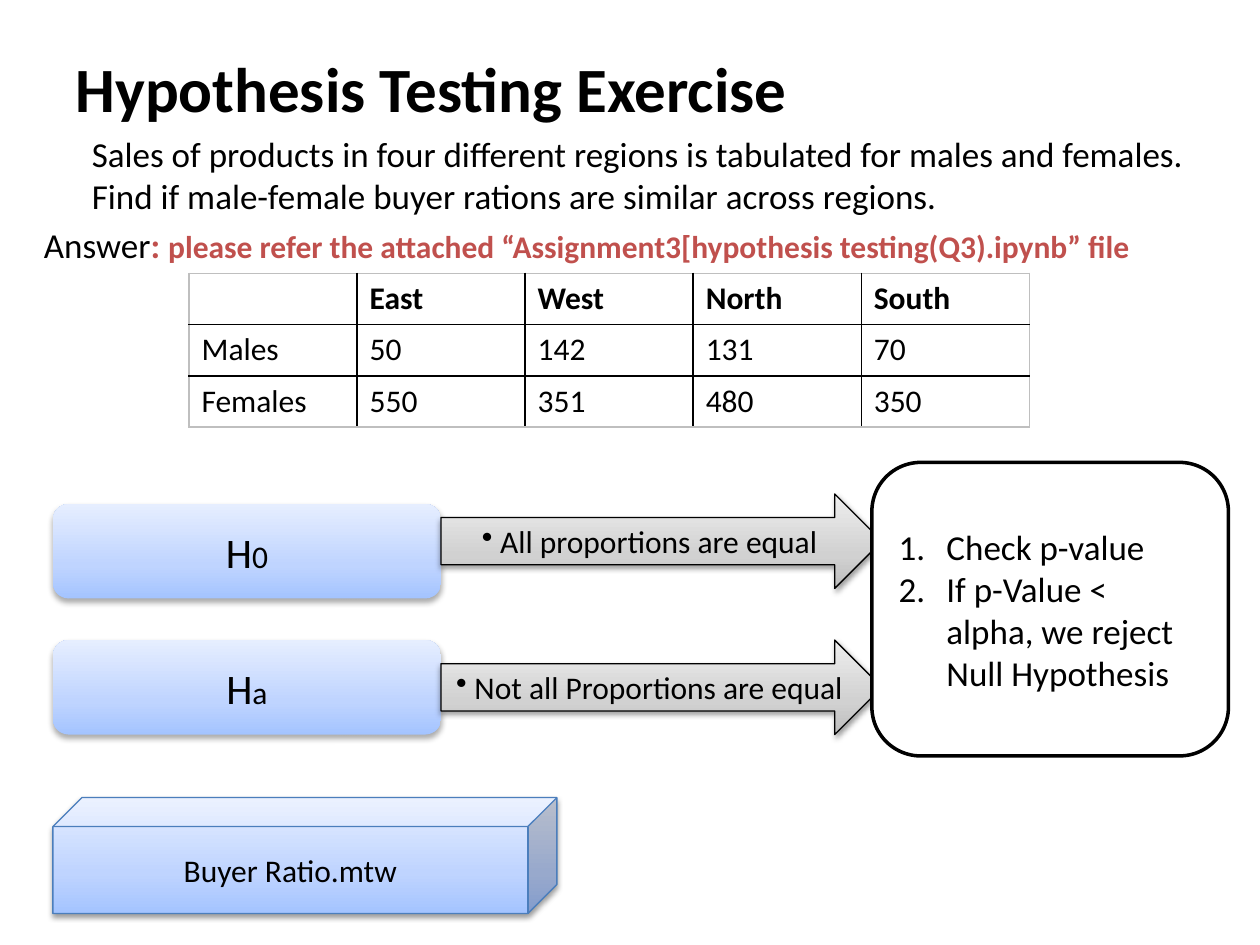
from copy import deepcopy
from dataclasses import dataclass
from lxml import etree
from pptx import Presentation
from pptx.dml.color import RGBColor
from pptx.enum.shapes import MSO_SHAPE
from pptx.enum.text import MSO_ANCHOR, PP_ALIGN
from pptx.oxml.ns import qn
from pptx.util import Inches, Pt


@dataclass(frozen=True)
class Theme:
    font: str = "Calibri"
    ink: str = "000000"
    paper: str = "FFFFFF"
    accent: str = "C0504D"
    cube_line: str = "4B7EBC"
    table_edge: str = "BFBFBF"
    blue: tuple = ("A4C4FF", "BFD4FF", "E6EEFF")
    gray: tuple = ("BDBDBD", "D1D1D1", "EEEEEE")
    soft_shadow: tuple = (32, 3.5, 2.2)
    firm_shadow: tuple = (38, 3.1, 1.6)
    title: int = 36
    heading: int = 24
    body: int = 20
    small: int = 18


class SlideBuilder:
    def __init__(self, slide, theme):
        self.slide = slide
        self.theme = theme

    def run(self, paragraph, text, size, bold=False, color=None):
        run = paragraph.add_run()
        run.text = text
        run.font.name = self.theme.font
        run.font.size = Pt(size)
        run.font.bold = bold
        run.font.color.rgb = RGBColor.from_string(color or self.theme.ink)

    def bullet(self, paragraph, tag, value, hanging=0):
        properties = paragraph._p.get_or_add_pPr()
        properties.set("marL", str(Inches(hanging)))
        properties.set("indent", str(Inches(-hanging)))
        attribute = "char" if tag == "a:buChar" else "type"
        etree.SubElement(properties, qn(tag)).set(attribute, value)

    def title(self, text, box):
        title = self.slide.shapes.title
        title.left, title.top, title.width, title.height = map(Inches, box)
        title.text_frame.vertical_anchor = MSO_ANCHOR.MIDDLE
        paragraph = title.text_frame.paragraphs[0]
        paragraph.alignment = PP_ALIGN.LEFT
        self.run(paragraph, text, self.theme.title, bold=True)

    def text(self, box, paragraphs):
        frame = self.slide.shapes.add_textbox(*map(Inches, box)).text_frame
        frame.word_wrap = True
        for number, (indent, runs) in enumerate(paragraphs):
            paragraph = frame.add_paragraph() if number else frame.paragraphs[0]
            paragraph.space_before = Pt(4)
            paragraph._p.get_or_add_pPr().set("marL", str(Inches(0.38)))
            paragraph._p.get_or_add_pPr().set("indent", str(Inches(indent)))
            for run in runs:
                self.run(paragraph, *run)

    def table(self, box, rows):
        last_row, last_column = len(rows) - 1, len(rows[0]) - 1
        table = self.slide.shapes.add_table(
            len(rows), len(rows[0]), *map(Inches, box)).table
        for r, row in enumerate(rows):
            for c, value in enumerate(row):
                cell = table.cell(r, c)
                self.borders(cell, {"a:lnL": c == 0, "a:lnR": c == last_column,
                                    "a:lnT": r == 0, "a:lnB": r == last_row})
                cell.fill.solid()
                cell.fill.fore_color.rgb = RGBColor.from_string(self.theme.paper)
                if value:
                    self.run(cell.text_frame.paragraphs[0], value,
                             self.theme.small, bold=r == 0)

    def borders(self, cell, sides):
        properties = cell._tc.get_or_add_tcPr()
        for tag, outer in sides.items():
            line = etree.SubElement(properties, qn(tag), w=str(Pt(1)))
            fill = etree.SubElement(line, qn("a:solidFill"))
            color = self.theme.table_edge if outer else self.theme.ink
            etree.SubElement(fill, qn("a:srgbClr"), val=color)

    def shape(self, kind, box, fill, line=None, width=0.75, shadow=None):
        shape = self.slide.shapes.add_shape(kind, *map(Inches, box))
        if isinstance(fill, tuple):
            self.gradient(shape, fill)
        else:
            shape.fill.solid()
            shape.fill.fore_color.rgb = RGBColor.from_string(fill)
        if line:
            shape.line.color.rgb = RGBColor.from_string(line)
            shape.line.width = Pt(width)
        else:
            shape.line.fill.background()
        shape.shadow.inherit = False
        if shadow:
            self.shadow(shape, *shadow)
        frame = shape.text_frame
        frame.word_wrap = True
        frame.vertical_anchor = MSO_ANCHOR.MIDDLE
        frame.paragraphs[0].alignment = PP_ALIGN.CENTER
        return frame

    def gradient(self, shape, colors):
        shape.fill.gradient()
        shape.fill.gradient_angle = 90
        stops = shape._element.spPr.find(".//" + qn("a:gsLst"))
        stops.append(deepcopy(stops[-1]))
        for stop, color, position in zip(shape.fill.gradient_stops, colors, (0, 0.35, 1)):
            stop.color.rgb = RGBColor.from_string(color)
            stop.position = position

    def shadow(self, shape, opacity, blur, distance):
        effects = shape._element.spPr.find(qn("a:effectLst"))
        outer = etree.SubElement(
            effects, qn("a:outerShdw"), blurRad=str(Pt(blur)),
            dist=str(Pt(distance)), dir="5400000", rotWithShape="0")
        color = etree.SubElement(outer, qn("a:srgbClr"), val=self.theme.ink)
        etree.SubElement(color, qn("a:alpha"), val=str(opacity * 1000))

    def hypothesis(self, top, subscript):
        frame = self.shape(MSO_SHAPE.ROUNDED_RECTANGLE, (0.42, top, 3.08, 0.75),
                           self.theme.blue, shadow=self.theme.soft_shadow)
        self.run(frame.paragraphs[0], "H", self.theme.heading)
        self.run(frame.paragraphs[0], subscript, self.theme.small)

    def statement(self, top, text):
        frame = self.shape(MSO_SHAPE.RIGHT_ARROW, (3.5, top, 3.5, 0.75),
                           self.theme.gray, self.theme.ink,
                           shadow=self.theme.firm_shadow)
        self.bullet(frame.paragraphs[0], "a:buChar", "•")
        self.run(frame.paragraphs[0], text, self.theme.small)

    def steps(self, box, items):
        frame = self.shape(MSO_SHAPE.ROUNDED_RECTANGLE, box,
                           self.theme.paper, self.theme.ink, width=2)
        for number, item in enumerate(items):
            paragraph = frame.add_paragraph() if number else frame.paragraphs[0]
            paragraph.alignment = PP_ALIGN.LEFT
            self.bullet(paragraph, "a:buAutoNum", "arabicPeriod", 0.38)
            self.run(paragraph, item, self.theme.body)

    def cube(self, box, text):
        frame = self.shape(MSO_SHAPE.CUBE, box, self.theme.blue,
                           self.theme.cube_line, shadow=self.theme.firm_shadow)
        self.run(frame.paragraphs[0], text, self.theme.small)


theme = Theme()
deck = Presentation()
deck.slide_width, deck.slide_height = Inches(10), Inches(7.5)
page = SlideBuilder(deck.slides.add_slide(deck.slide_layouts[5]), theme)

page.title("Hypothesis Testing Exercise", (0.5, 0.3, 9, 0.78))
page.text((0.25, 1, 9.58, 6.25), [
    (0, [("Sales of products in four different regions is tabulated for males and "
          "females. Find if male-female buyer rations are similar across regions.",
          theme.body)]),
    (-0.38, [("Answer", theme.body),
             (": ", theme.body, True, theme.accent),
             ("please refer the attached “Assignment3[hypothesis testing(Q3).ipynb” file",
              theme.small, True, theme.accent)]),
])
page.table((1.5, 2.17, 6.67, 1.22), [
    ("", "East", "West", "North", "South"),
    ("Males", "50", "142", "131", "70"),
    ("Females", "550", "351", "480", "350"),
])
for top, subscript in ((4, "0"), (5.08, "a")):
    page.hypothesis(top, subscript)
for top, claim in ((3.92, " All proportions are equal"),
                   (5.08, " Not all Proportions are equal")):
    page.statement(top, claim)
page.steps((6.92, 3.67, 2.83, 2.33),
           ["Check p-value", "If p-Value < alpha, we reject Null Hypothesis"])
page.cube((0.42, 6.33, 4, 0.92), "Buyer Ratio.mtw")

deck.save("out.pptx")
